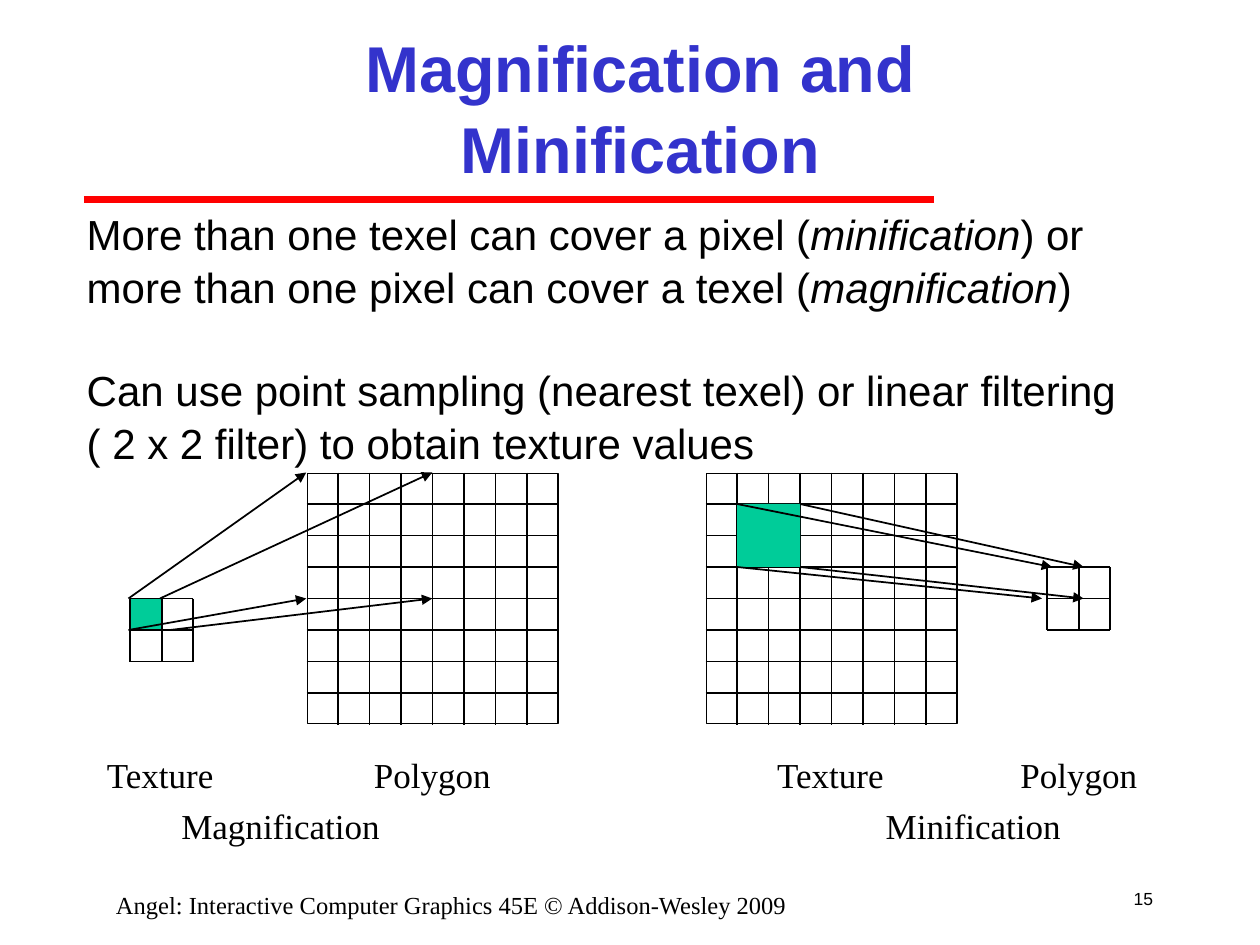
import pptx
import pptx.dml.color
import pptx.enum.shapes
import pptx.enum.text
import pptx.oxml
import pptx.oxml.ns
import pptx.util
from lxml import etree

Pt = pptx.util.Pt
RGBColor = pptx.dml.color.RGBColor
Align = pptx.enum.text.PP_ALIGN
Anchor = pptx.enum.text.MSO_ANCHOR

BLACK = RGBColor(0x00, 0x00, 0x00)
RED = RGBColor(0xFF, 0x00, 0x00)
BLUE = RGBColor(0x33, 0x33, 0xCC)
GREEN = RGBColor(0x00, 0xCC, 0x99)

SANS = "Arial"
SERIF = "Times New Roman"
CELL = 18


def add_text(page, frame, paragraphs, font, size, color=BLACK, bold=False,
             align=Align.LEFT, anchor=Anchor.TOP, wrap=False, gaps=()):
    """Add a text box; each paragraph is a list of (text, italic) spans.

    gaps holds the space before each paragraph, where there is any.
    """
    box = page.shapes.add_textbox(*map(Pt, frame))
    text = box.text_frame
    text.word_wrap = wrap
    text.vertical_anchor = anchor
    for index, spans in enumerate(paragraphs):
        para = text.paragraphs[0] if index == 0 else text.add_paragraph()
        para.alignment = align
        para.line_spacing = 1.05
        if index < len(gaps):
            para.space_before = Pt(gaps[index])
        for words, italic in spans:
            span = para.add_run()
            span.text = words
            span.font.name = font
            span.font.size = Pt(size)
            span.font.bold = bold
            span.font.italic = italic
            span.font.color.rgb = color


def add_line(page, start, end, color=BLACK, width=1, arrow=False):
    line = page.shapes.add_connector(
        pptx.enum.shapes.MSO_CONNECTOR.STRAIGHT, *map(Pt, start + end))
    line.line.color.rgb = color
    line.line.width = Pt(width)
    if arrow:
        head = etree.SubElement(line.line._get_or_add_ln(),
                                pptx.oxml.ns.qn("a:tailEnd"))
        head.set("type", "triangle")
    etree.SubElement(line._element.spPr, pptx.oxml.ns.qn("a:effectLst"))


def add_square(page, left, top, side, fill=None):
    """Add a filled square without outline, or an outlined one without fill."""
    square = page.shapes.add_shape(
        pptx.enum.shapes.MSO_SHAPE.RECTANGLE,
        Pt(left), Pt(top), Pt(side), Pt(side))
    square.shadow.inherit = False
    if fill is None:
        square.fill.background()
        square.line.color.rgb = BLACK
        square.line.width = Pt(1)
    else:
        square.fill.solid()
        square.fill.fore_color.rgb = fill
        square.line.fill.background()


def add_grid(page, left, top, cells, framed):
    """Rule a square grid; a framed one has a square as its outer edge."""
    side = cells * CELL
    if framed:
        add_square(page, left + 0.5, top + 0.5, side - 1)
    steps = range(1, cells) if framed else range(cells + 1)
    for step in steps:
        offset = step * CELL
        add_line(page, (left, top + offset), (left + side, top + offset))
        add_line(page, (left + offset, top), (left + offset, top + side))


def add_magnification(page):
    add_square(page, 74.6, 342, CELL, GREEN)
    add_grid(page, 175.2, 270, 8, framed=True)
    add_grid(page, 74.4, 342, 2, framed=False)


def add_minification(page):
    add_grid(page, 403.2, 270, 8, framed=True)
    add_grid(page, 598.4, 324, 2, framed=False)
    add_square(page, 421.2, 288, 2 * CELL, GREEN)


def add_labels(page):
    labels = [
        ("Texture", 54, 426, 77), ("Polygon", 206.6, 426, 81.4),
        ("Magnification", 96.5, 455, 128.2),
        ("Texture", 437, 426, 77), ("Polygon", 576, 426, 81.4),
        ("Minification", 499, 455, 114.5),
    ]
    for words, left, top, width in labels:
        add_text(page, (left, top, width, 31), [[(words, False)]], SERIF, 20)


def add_arrows(page):
    arrows = [
        ((73.4, 342), (175, 270)), ((91.4, 342), (247, 270)),
        ((73.4, 360), (175, 342)), ((97.2, 360), (247, 342)),
        ((457.2, 288), (619.2, 324)), ((457.2, 324), (619.2, 342)),
        ((421.2, 288), (601.2, 324)), ((421.2, 324), (595.4, 342)),
    ]
    for start, end in arrows:
        add_line(page, start, end, arrow=True)


def add_body(page):
    paragraphs = [
        [("More than one texel can cover a pixel (", False),
         ("minification", True), (") or", False)],
        [("more than one pixel can cover a texel (", False),
         ("magnification", True), (")", False)],
        [("Can use point sampling (nearest texel) or linear filtering",
          False)],
        [("( 2 x 2 filter) to obtain texture values", False)],
    ]
    add_text(page, (42.5, 114, 602.6, 180), paragraphs, SANS, 24,
             gaps=(0, 0, 29))


def main():
    deck = pptx.Presentation()
    deck.slide_width, deck.slide_height = Pt(720), Pt(540)
    page = deck.slides.add_slide(deck.slide_layouts[6])

    add_line(page, (48, 114), (534, 114), RED, 4)
    add_text(page, (636, 498, 30, 30), [[("15", False)]], SANS, 10,
             align=Align.RIGHT, anchor=Anchor.MIDDLE)
    add_text(page, (36, 504, 444, 18),
             [[("Angel: Interactive Computer Graphics 45E "
                "© Addison-Wesley 2009", False)]],
             SERIF, 14, align=Align.CENTER, wrap=True)
    add_text(page, (108, 18, 516, 84),
             [[("Magnification and Minification", False)]], SANS, 37, BLUE,
             bold=True, align=Align.CENTER, anchor=Anchor.MIDDLE, wrap=True)
    add_magnification(page)
    add_minification(page)
    add_labels(page)
    add_arrows(page)
    add_body(page)
    deck.save("out.pptx")


if __name__ == "__main__":
    main()
